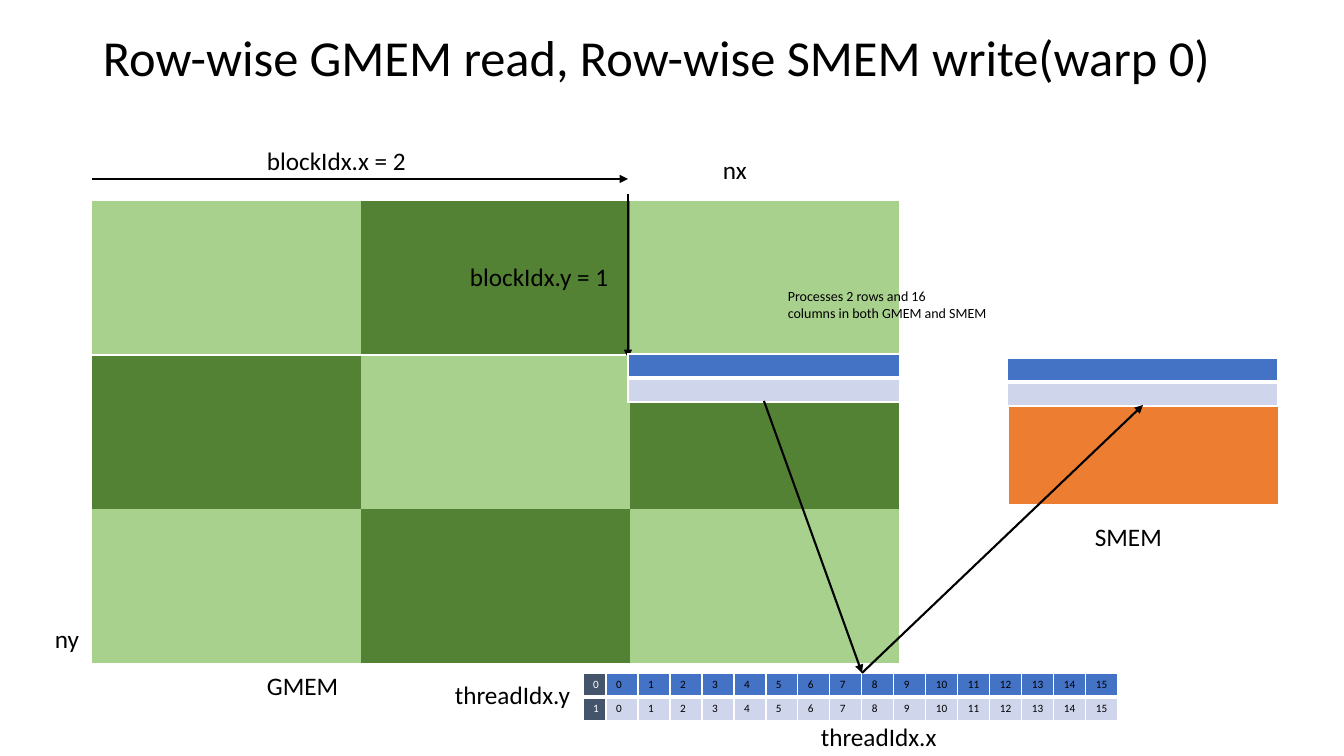
from dataclasses import dataclass

from lxml import etree
from pptx import Presentation
from pptx.dml.color import RGBColor
from pptx.enum.shapes import MSO_CONNECTOR
from pptx.enum.text import MSO_ANCHOR
from pptx.oxml.ns import qn
from pptx.util import Emu, Pt

STRAIGHT = MSO_CONNECTOR.STRAIGHT
TOP, MIDDLE = MSO_ANCHOR.TOP, MSO_ANCHOR.MIDDLE
BLANK_LAYOUT = 6
EMU_PER_PIXEL = 914400 / 100.8
PLAIN_TABLE_STYLE = "{2D5ABB26-0587-4C30-8999-92F81FD0307C}"


@dataclass(frozen=True)
class Theme:
    """Colours, font and type sizes of the slide."""
    font: str = "Calibri"
    title_size: int = 36
    label_size: int = 18
    note_size: int = 10
    cell_size: int = 8
    black: str = "000000"
    white: str = "FFFFFF"
    light_green: str = "A9D18E"
    dark_green: str = "548235"
    orange: str = "ED7D31"
    blue: str = "4472C4"
    pale_blue: str = "CFD5EA"
    slate: str = "44546A"


THEME = Theme()
WARP_FILLS = (THEME.blue, THEME.pale_blue)
INDEX_FILLS = (THEME.slate, THEME.slate)
WARP_ROW_HEIGHT = 24
FRAME = {"L": 1, "R": 1, "T": 1, "B": 1}
FIRST_ROW_FRAME = {**FRAME, "B": 3}


def px(pixels):
    """Turn pixels into EMU."""
    return Emu(round(pixels * EMU_PER_PIXEL))


def write_text(frame, text, size=THEME.label_size, color=THEME.black,
               anchor=TOP, wrap=False, line_spacing=None):
    """Write each line of text as a formatted paragraph."""
    frame.word_wrap = wrap
    frame.vertical_anchor = anchor
    for index, line in enumerate(text.split("\n")):
        paragraph = frame.paragraphs[0] if index == 0 else frame.add_paragraph()
        paragraph.line_spacing = line_spacing
        run = paragraph.add_run()
        run.text = line
        run.font.name = THEME.font
        run.font.size = Pt(size)
        run.font.color.rgb = RGBColor.from_string(color)


def add_label(slide, left, top, width, height, text, **text_format):
    """Add a text box."""
    box = slide.shapes.add_textbox(px(left), px(top), px(width), px(height))
    write_text(box.text_frame, text, **text_format)


def add_arrow(slide, start, end, weight):
    """Add a straight black arrow from start to end."""
    arrow = slide.shapes.add_connector(STRAIGHT, *map(px, start + end))
    arrow.line.color.rgb = RGBColor.from_string(THEME.black)
    arrow.line.width = Pt(weight)
    line = arrow.line._get_or_add_ln()
    etree.SubElement(line, qn("a:tailEnd"), type="triangle")
    etree.SubElement(arrow._element.spPr, qn("a:effectLst"))


def set_borders(cell, widths):
    """Give a cell white borders; widths maps L, R, T, B to points."""
    properties = cell._tc.get_or_add_tcPr()
    for index, (side, width) in enumerate(widths.items()):
        line = etree.Element(qn(f"a:ln{side}"), w=str(Pt(width)))
        fill = etree.SubElement(line, qn("a:solidFill"))
        etree.SubElement(fill, qn("a:srgbClr"), val=THEME.white)
        properties.insert(index, line)


def format_cell(cell, text, fill, color, borders):
    """Fill a cell, draw its borders and write its small text."""
    set_borders(cell, borders)
    cell.fill.solid()
    cell.fill.fore_color.rgb = RGBColor.from_string(fill)
    cell.margin_top = cell.margin_bottom = cell.margin_right = 0
    cell.vertical_anchor = MIDDLE
    if text:
        write_text(cell.text_frame, text, size=THEME.cell_size, color=color,
                   anchor=None, wrap=True)
    else:
        paragraph = cell.text_frame.paragraphs[0]._p
        etree.SubElement(paragraph, qn("a:endParaRPr"),
                         sz=str(THEME.cell_size * 100))


def add_grid(slide, left, top, column_width, row_height, fills,
             texts=None, color=THEME.black, row_borders=None):
    """Add a table of equal cells from rows of fills and optional texts."""
    row_count, column_count = len(fills), len(fills[0])
    table = slide.shapes.add_table(
        row_count, column_count, px(left), px(top),
        px(column_width * column_count), px(row_height * row_count)).table
    table.first_row = table.horz_banding = False
    table._tbl.tblPr.find(qn("a:tableStyleId")).text = PLAIN_TABLE_STYLE
    for row in range(row_count):
        for column in range(column_count):
            format_cell(table.cell(row, column),
                        texts[row][column] if texts else "",
                        fills[row][column], color,
                        row_borders[row] if row_borders else {})


def add_warp_rows(slide, left, top, column_width, texts=(("",), ("",)),
                  row_fills=WARP_FILLS, color=THEME.black):
    """Add the two rows that one warp processes."""
    fills = [[fill] * len(row) for fill, row in zip(row_fills, texts)]
    add_grid(slide, left, top, column_width, WARP_ROW_HEIGHT, fills, texts,
             color, (FIRST_ROW_FRAME, FRAME))


def add_global_memory(slide):
    """Add the checkerboard of blocks with its block index arrows."""
    greens = (THEME.light_green, THEME.dark_green)
    fills = [[greens[(row + column) % 2] for column in range(3)]
             for row in range(3)]
    add_grid(slide, 92, 201, 269, 154, fills, row_borders=({"B": 2}, {}, {}))
    add_arrow(slide, (92, 179), (628, 179), 1)
    add_arrow(slide, (628, 194), (628, 358), 1)
    add_label(slide, 257, 140, 160, 40, "blockIdx.x = 2")
    add_label(slide, 460, 256, 160, 40, "blockIdx.y = 1")
    add_label(slide, 713, 149, 44, 40, "nx")
    add_label(slide, 45, 618, 44, 40, "ny")
    add_label(slide, 257, 665, 93, 40, "GMEM")
    add_warp_rows(slide, 628, 354, 272)


def add_shared_memory(slide):
    """Add the shared memory block with its warp rows."""
    add_grid(slide, 1008, 358, 271, 148, [[THEME.orange]],
             row_borders=(FIRST_ROW_FRAME,))
    add_label(slide, 1085, 516, 88, 40, "SMEM")
    add_warp_rows(slide, 1007, 358, 271)


def add_threads(slide):
    """Add the thread table with its row indices and axis labels."""
    thread_numbers = [str(number) for number in range(16)]
    add_warp_rows(slide, 606, 673, 32, (thread_numbers, thread_numbers))
    add_label(slide, 811, 716, 137, 40, "threadIdx.x")
    add_warp_rows(slide, 583, 673, 23, (("0",), ("1",)), INDEX_FILLS,
                  THEME.white)
    add_label(slide, 445, 674, 137, 40, "threadIdx.y")


def main():
    """Build and save the slide."""
    presentation = Presentation()
    presentation.slide_width, presentation.slide_height = px(1344), px(756)
    layout = presentation.slide_layouts[BLANK_LAYOUT]
    slide = presentation.slides.add_slide(layout)
    add_label(slide, 93, 12, 1159, 96,
              "Row-wise GMEM read, Row-wise SMEM write(warp 0)",
              size=THEME.title_size, anchor=MIDDLE, wrap=True,
              line_spacing=0.9)
    add_global_memory(slide)
    add_shared_memory(slide)
    add_threads(slide)
    add_arrow(slide, (764, 401), (862, 673), 1.5)
    add_arrow(slide, (862, 673), (1143, 405), 1.5)
    add_label(slide, 778, 283, 221, 44,
              "Processes 2 rows and 16\ncolumns in both GMEM and SMEM",
              size=THEME.note_size)
    presentation.save("out.pptx")


main()
